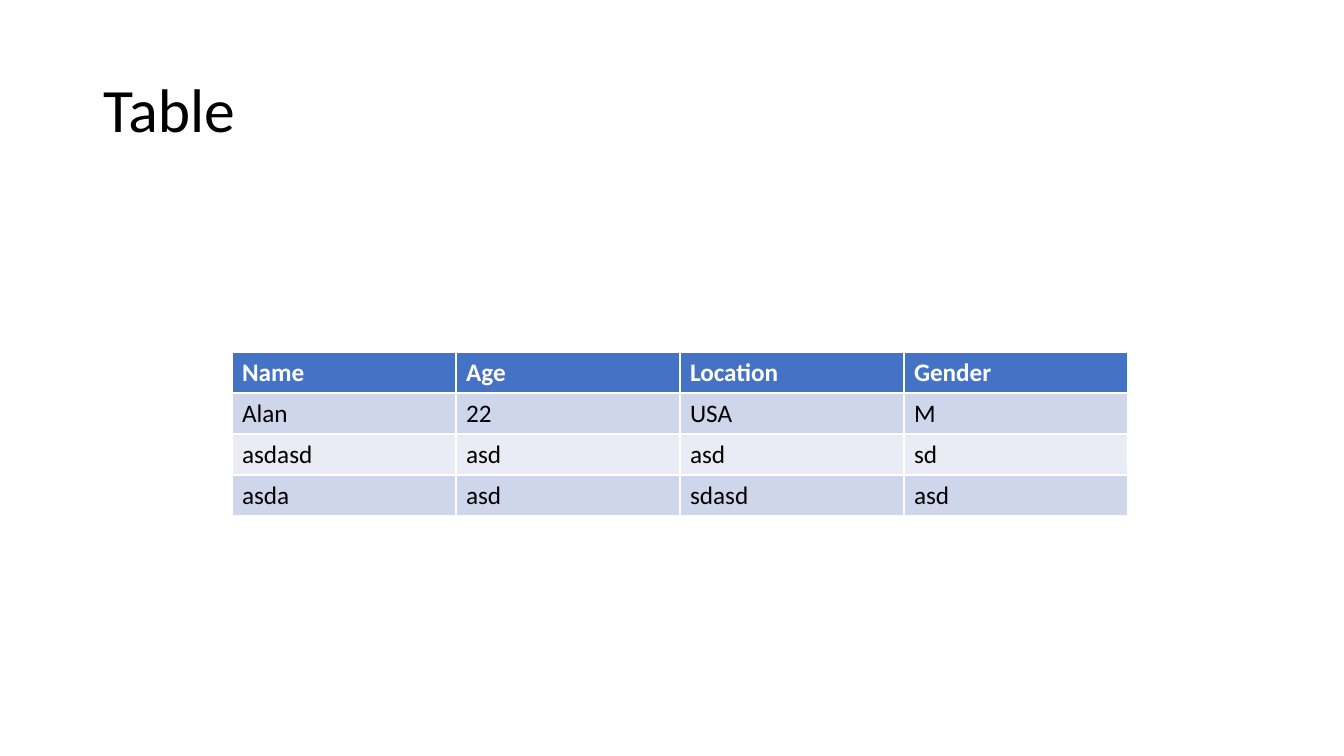
from pptx import Presentation
from pptx import util as u
from pptx.dml.color import RGBColor
from pptx.enum import text

SCALE = u.Inches(1) / 100.8
WHITE = RGBColor(0xFF, 0xFF, 0xFF)
BLACK = RGBColor(0x00, 0x00, 0x00)
BLUE = RGBColor(0x44, 0x72, 0xC4)
BANDS = RGBColor(0xE9, 0xEB, 0xF5), RGBColor(0xCF, 0xD5, 0xEA)
FACE = "Calibri"
HEADING = {"name": FACE, "size": u.Pt(44), "bold": False, "color": BLACK}
HEAD = {"name": FACE, "size": u.Pt(18), "bold": True, "color": WHITE}
BODY = {**HEAD, "bold": False, "color": BLACK}
PEOPLE = [
    ("Name", "Age", "Location", "Gender"),
    ("Alan", "22", "USA", "M"),
    ("asdasd", "asd", "asd", "sd"),
    ("asda", "asd", "sdasd", "asd"),
]


def px(count):
    """Turn pixels into EMU."""
    return u.Emu(round(count * SCALE))


def write(frame, words, style):
    """Put styled words in a text frame and return the paragraph."""
    para = frame.paragraphs[0]
    run = para.add_run()
    run.text = words
    for key, value in style.items():
        if key == "color":
            run.font.color.rgb = value
        else:
            setattr(run.font, key, value)
    return para


def add_title(slide, box, words):
    """Place the slide title in its box."""
    title = slide.shapes.title
    for key, value in zip(("left", "top", "width", "height"), box):
        setattr(title, key, px(value))
    title.text_frame.vertical_anchor = text.MSO_ANCHOR.MIDDLE
    para = write(title.text_frame, words, HEADING)
    para.alignment = text.PP_ALIGN.LEFT
    para.line_spacing = 0.9


def add_people(slide, box, rows):
    """Place the banded table of people in its box."""
    frame = slide.shapes.add_table(len(rows), len(rows[0]), *map(px, box))
    table = frame.table
    for r, row in enumerate(rows):
        for c, words in enumerate(row):
            cell = table.cell(r, c)
            cell.fill.solid()
            cell.fill.fore_color.rgb = BANDS[r % 2] if r else BLUE
            write(cell.text_frame, words, BODY if r else HEAD)


def main():
    """Build and save the slide."""
    deck = Presentation()
    deck.slide_width, deck.slide_height = px(1344), px(756)
    slide = deck.slides.add_slide(deck.slide_layouts[5])
    add_title(slide, (93, 40, 1159, 146), "Table")
    add_people(slide, (232, 352, 896, 164), PEOPLE)
    deck.save("out.pptx")


main()
